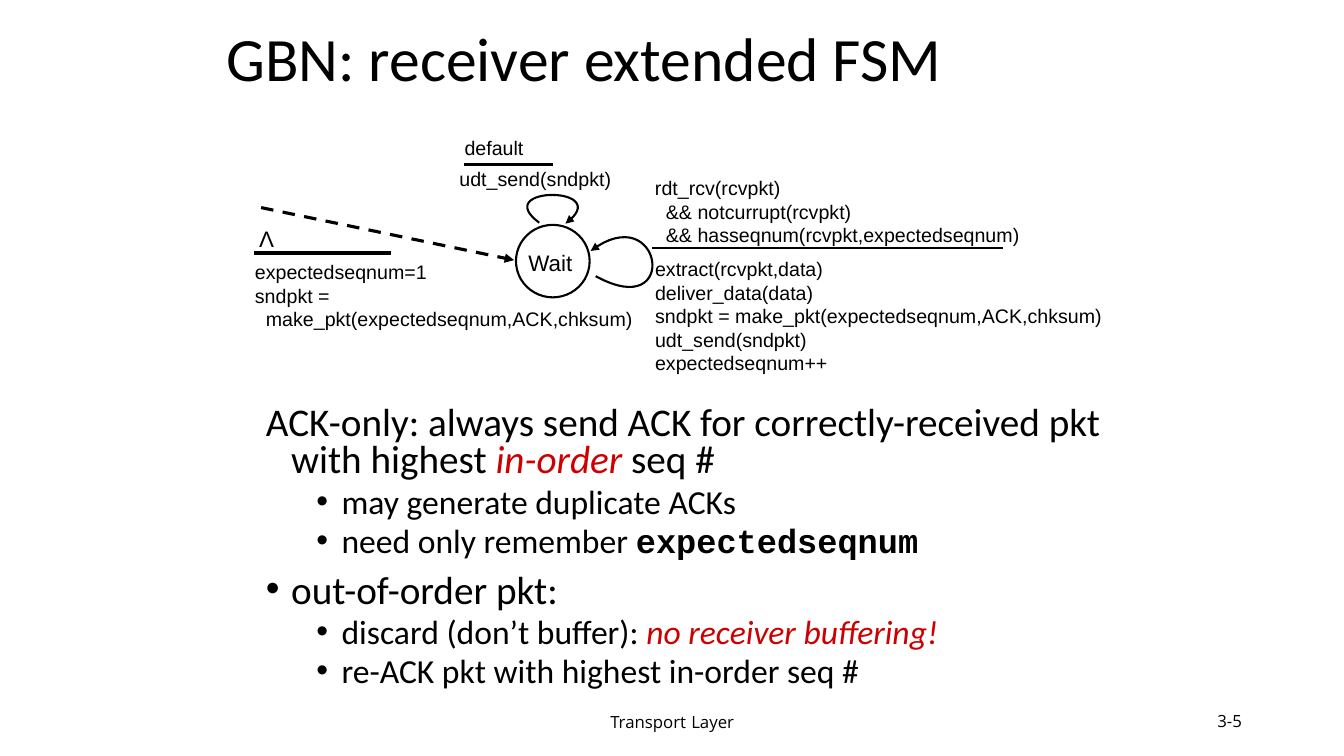
from pptx import Presentation
from pptx.dml.color import RGBColor
from pptx.enum.dml import MSO_LINE
from pptx.enum.shapes import MSO_CONNECTOR, MSO_SHAPE
from pptx.enum.text import MSO_ANCHOR, PP_ALIGN
from pptx.oxml.ns import qn
from pptx.util import Pt
from lxml.etree import SubElement

COLORS = {"ink": "000000", "accent": "CC0000", "paper": "FFFFFF"}
CODE_INDENT = 7.8


def rgb(name):
    """Return the named colour."""
    return RGBColor.from_string(COLORS[name])


def add_text(s, box, anchor=MSO_ANCHOR.TOP, wrap=True):
    """Add an empty text box and return its text frame."""
    tf = s.shapes.add_textbox(*map(Pt, box)).text_frame
    tf.word_wrap = wrap
    tf.vertical_anchor = anchor
    return tf


def add_paragraph(tf, align=PP_ALIGN.LEFT, spacing=None, before=0):
    """Return the unused first paragraph or a new one."""
    first = tf.paragraphs[0]
    p = tf.add_paragraph() if first.runs else first
    p.alignment = align
    p.space_before = Pt(before)
    if spacing:
        p.line_spacing = spacing
    return p


def add_run(p, text, size, font="Arial", color="ink", bold=False, italic=False):
    """Add one formatted run."""
    r = p.add_run()
    r.text = text
    r.font.size, r.font.name = Pt(size), font
    r.font.bold, r.font.italic = bold, italic
    r.font.color.rgb = rgb(color)


def add_label(s, box, text, size, font="Arial", align=PP_ALIGN.LEFT,
              anchor=MSO_ANCHOR.TOP, wrap=True, spacing=None):
    """Add a text box holding one run."""
    tf = add_text(s, box, anchor, wrap)
    add_run(add_paragraph(tf, align, spacing), text, size, font)


def add_code(s, box, lines):
    """Add code lines, each with its indent level."""
    tf = add_text(s, box)
    for level, text in lines:
        p = add_paragraph(tf)
        p._p.get_or_add_pPr().set("marL", str(Pt(level * CODE_INDENT)))
        add_run(p, text, 14)


def add_point(tf, level, runs, bullet=True):
    """Add a body point with a hanging indent."""
    p = add_paragraph(tf, spacing=0.8, before=5 if level else 10)
    p.level = level
    pPr = p._p.get_or_add_pPr()
    pPr.set("marL", str(Pt(18 + 36 * level)))
    pPr.set("indent", str(-Pt(18)))
    if bullet:
        SubElement(pPr, qn("a:buFont"), typeface="Arial")
        SubElement(pPr, qn("a:buChar"), char="•")
    else:
        SubElement(pPr, qn("a:buNone"))
    for text, style in runs:
        add_run(p, text, 24 if level else 28, **{"font": "Calibri", **style})


def style_line(sp, width, arrow=False):
    """Set line colour and width, with an optional arrowhead."""
    sp.line.color.rgb = rgb("ink")
    sp.line.width = Pt(width)
    if arrow:
        SubElement(sp.line._get_or_add_ln(), qn("a:tailEnd"), type="triangle")


def add_line(s, x1, y1, x2, y2, width=2.25, dashed=False, arrow=False):
    """Add a straight line."""
    sp = s.shapes.add_connector(MSO_CONNECTOR.STRAIGHT, *map(Pt, (x1, y1, x2, y2)))
    if dashed:
        sp.line.dash_style = MSO_LINE.DASH
    style_line(sp, width, arrow)
    SubElement(sp._element.spPr, qn("a:effectLst"))


def add_loop(s, *controls, steps=32):
    """Add a self-transition along a cubic curve."""
    points = []
    for i in range(steps + 1):
        t = i / steps
        weights = ((1 - t) ** 3, 3 * t * (1 - t) ** 2, 3 * t * t * (1 - t), t ** 3)
        points.append(tuple(Pt(sum(w * c[axis] for w, c in zip(weights, controls)))
                            for axis in (0, 1)))
    builder = s.shapes.build_freeform(*points[0])
    builder.add_line_segments(points[1:], close=False)
    sp = builder.convert_to_shape()
    sp.shadow.inherit = False
    sp.fill.background()
    style_line(sp, 1.5, arrow=True)


def add_state(s, box):
    """Add a state circle."""
    sp = s.shapes.add_shape(MSO_SHAPE.OVAL, *map(Pt, box))
    sp.shadow.inherit = False
    sp.fill.solid()
    sp.fill.fore_color.rgb = rgb("paper")
    style_line(sp, 1.5)


def add_body(s):
    """Add the points below the state machine."""
    tf = add_text(s, (182.9, 286.6, 641.5, 224.6))
    red = {"color": "accent", "italic": True}
    add_point(tf, 0, [
        ("ACK-only: always send ACK for correctly-received pkt with highest ", {}),
        ("in-order", red), (" seq #", {})], bullet=False)
    add_point(tf, 1, [("may generate duplicate ACKs", {})])
    add_point(tf, 1, [("need only remember ", {}),
                      ("expectedseqnum", {"font": "Courier New", "bold": True})])
    add_point(tf, 0, [("out-of-order pkt:", {})])
    add_point(tf, 1, [("discard (don’t buffer): ", {}), ("no receiver buffering!", red)])
    add_point(tf, 1, [("re-ACK pkt with highest in-order seq #", {})])


def add_machine(s):
    """Add the receiver state machine."""
    add_state(s, (368.6, 160.6, 52.6, 51.8))
    add_label(s, (361.4, 174.2, 63.4, 18.7), "Wait", 16, align=PP_ALIGN.CENTER)
    add_line(s, 186.5, 148.3, 367.2, 185.8, dashed=True, arrow=True)
    add_label(s, (177.8, 157, 25.2, 26.6), "Λ", 16, align=PP_ALIGN.CENTER, wrap=False)
    add_line(s, 181.4, 180.7, 279.4, 180.7)
    add_code(s, (175, 182.2, 286.6, 77), [
        (0, "expectedseqnum=1"), (0, "sndpkt ="),
        (1, "make_pkt(expectedseqnum,ACK,chksum)")])

    add_label(s, (324.7, 93.6, 56.9, 19.4), "default", 14)
    add_line(s, 331.2, 117.4, 395.3, 117.4)
    add_label(s, (321.1, 115.9, 127.4, 24.5), "udt_send(sndpkt)", 14)
    add_loop(s, (385.2, 159.1), (349.2, 132.5), (440.6, 132.5), (403.9, 159.8))

    add_code(s, (460.8, 122.4, 280.8, 44.6), [
        (0, "rdt_rcv(rcvpkt)"), (1, "&& notcurrupt(rcvpkt)"),
        (1, "&& hasseqnum(rcvpkt,expectedseqnum)")])
    add_line(s, 465.8, 177.1, 716.4, 177.1, width=1.5)
    add_code(s, (460.8, 180, 339.8, 67.7), [
        (0, "extract(rcvpkt,data)"), (0, "deliver_data(data)"),
        (0, "sndpkt = make_pkt(expectedseqnum,ACK,chksum)"),
        (0, "udt_send(sndpkt)"), (0, "expectedseqnum++")])
    add_loop(s, (425.5, 197.3), (486.7, 231.1), (473, 140.4), (421.9, 179.3))


def main():
    """Build the slide and save it."""
    prs = Presentation()
    prs.slide_width, prs.slide_height = Pt(960), Pt(540)
    s = prs.slides.add_slide(prs.slide_layouts[6])
    add_label(s, (154.8, 16.6, 612, 55.4), "GBN: receiver extended FSM", 44,
              "Calibri", anchor=MSO_ANCHOR.MIDDLE, spacing=0.9)
    add_machine(s)
    add_body(s)
    footer = add_paragraph(add_text(s, (318.2, 500.4, 324, 28.8), MSO_ANCHOR.MIDDLE),
                           PP_ALIGN.CENTER)
    for text, size in (("Transport", 12), (" ", 14), ("Layer", 12)):
        add_run(footer, text, size, "Open Sans")
    add_label(s, (678.2, 500.4, 216, 28.8), "3-5", 12, "Open Sans",
              PP_ALIGN.RIGHT, MSO_ANCHOR.MIDDLE)
    prs.save("out.pptx")


if __name__ == "__main__":
    main()
